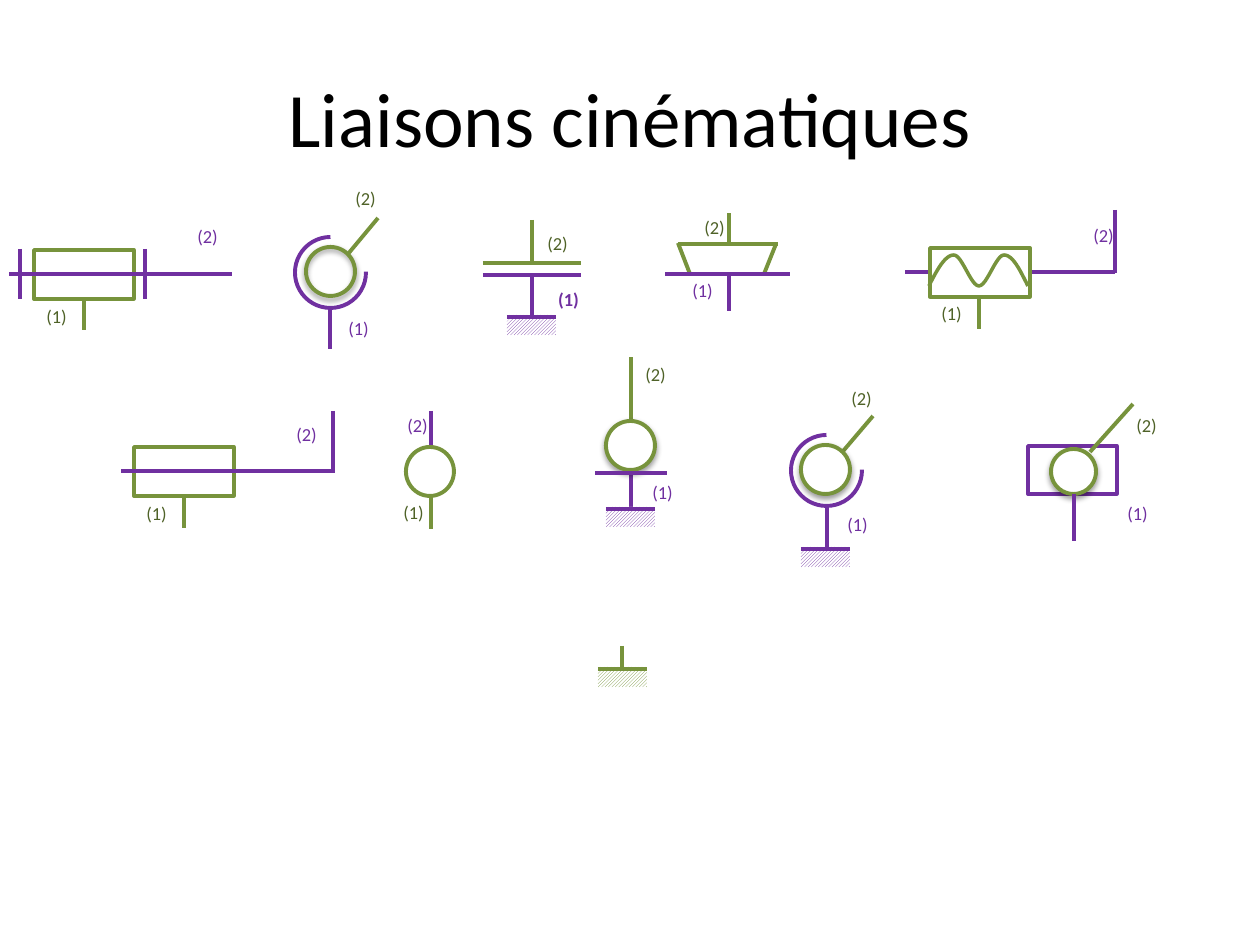
"""Build the slide of kinematic joint symbols."""
import pptx
import pptx.util
import pptx.dml.color
import pptx.enum.dml
import pptx.enum.shapes
import pptx.enum.text
import pptx.oxml
import pptx.oxml.ns

RGBColor = pptx.dml.color.RGBColor
BLACK = RGBColor(0x00, 0x00, 0x00)
WHITE = RGBColor(0xFF, 0xFF, 0xFF)
GREEN = RGBColor(0x77, 0x93, 0x3C)
MOSS = RGBColor(0x4F, 0x62, 0x28)
PLUM = RGBColor(0x70, 0x30, 0xA0)
PX = 914400 / 126
RECT = pptx.enum.shapes.MSO_SHAPE.RECTANGLE
OVAL = pptx.enum.shapes.MSO_SHAPE.OVAL
ARC = pptx.enum.shapes.MSO_SHAPE.ARC
NS = pptx.oxml.ns.nsdecls("a")
SHADE = (
    f'<a:outerShdw {NS} blurRad="40000" dist="20000" dir="5400000" rotWithShape="0">'
    '<a:srgbClr val="000000"><a:alpha val="38000"/></a:srgbClr></a:outerShdw>'
)

deck = pptx.Presentation()
deck.slide_width = pptx.util.Inches(10)
deck.slide_height = pptx.util.Inches(7.5)
slide = deck.slides.add_slide(deck.slide_layouts[6])


def draw(color, *ends):
    line = slide.shapes.add_connector(
        pptx.enum.shapes.MSO_CONNECTOR.STRAIGHT, *[round(n * PX) for n in ends])
    line.line.color.rgb = color
    line.line.width = pptx.util.Pt(2.25)
    line._element.spPr.append(pptx.oxml.parse_xml(f"<a:effectLst {NS}/>"))


def write(text, color, size, bold, *area):
    box = slide.shapes.add_textbox(*[round(n * PX) for n in area])
    frame = box.text_frame
    frame.word_wrap = True
    para = frame.paragraphs[0]
    para.alignment = pptx.enum.text.PP_ALIGN.CENTER
    run = para.add_run()
    run.text = text
    run.font.name = "Calibri"
    run.font.size = pptx.util.Pt(size)
    run.font.bold = bold
    run.font.color.rgb = color
    return frame


title = write("Liaisons cinématiques", BLACK, 44, False, 63, 38, 1134, 157)
title.vertical_anchor = pptx.enum.text.MSO_ANCHOR.MIDDLE

back = [
    (PLUM, 1115, 272, 905, 272),
    (GREEN, 431, 529, 431, 474),
    (PLUM, 431, 411, 431, 473),
    (PLUM, 631, 510, 631, 471),
    (GREEN, 631, 423, 631, 357),
    (GREEN, 827, 470, 873, 416),
]
for item in back:
    draw(*item)

forms = [
    (RECT, GREEN, 2, False, False, 34, 250, 100, 49),
    (OVAL, GREEN, 2.25, False, True, 306, 247, 49, 49),
    (ARC, PLUM, 2.25, False, False, 295, 237, 71, 71),
    (RECT, GREEN, 2, True, False, 930, 248, 100, 49),
    (OVAL, GREEN, 2.25, True, False, 406, 447, 48, 49),
    (RECT, GREEN, 2, True, False, 134, 447, 100, 49),
    (OVAL, GREEN, 2.25, True, True, 606, 421, 49, 49),
    (RECT, PLUM, 2, True, False, 1028, 446, 89, 48),
    (OVAL, GREEN, 2.25, True, True, 1051, 449, 45, 45),
    (OVAL, GREEN, 2.25, True, True, 801, 445, 49, 49),
    (ARC, PLUM, 2.25, False, False, 791, 435, 71, 71),
]
for kind, color, width, solid, shade, *area in forms:
    form = slide.shapes.add_shape(kind, *[round(n * PX) for n in area])
    form.shadow.inherit = False
    form.line.color.rgb = color
    form.line.width = pptx.util.Pt(width)
    if solid:
        form.fill.solid()
        form.fill.fore_color.rgb = WHITE
    else:
        form.fill.background()
    if kind == ARC:
        form.adjustments[0] = 215.14
        form.adjustments[1] = 161.98
    if shade:
        form._element.spPr.find(pptx.oxml.ns.qn("a:effectLst")).append(
            pptx.oxml.parse_xml(SHADE))

curves = [
    ((929, 286), (937, 270), (945, 255), (954, 255)),
    ((954, 255), (962, 255), (971, 286), (979, 286)),
    ((979, 286), (987, 286), (996, 255), (1004, 255)),
    ((1004, 255), (1013, 255), (1020, 270), (1028, 286)),
]
points = []
for curve in curves:
    for step in range(1, 13):
        t = step / 12
        parts = ((1 - t) ** 3, 3 * t * (1 - t) ** 2, 3 * t * t * (1 - t), t ** 3)
        points.append([sum(k * p[i] for k, p in zip(parts, curve)) * PX for i in (0, 1)])
pen = slide.shapes.build_freeform(round(929 * PX), round(286 * PX))
pen.add_line_segments(points, close=False)
wave = pen.convert_to_shape()
wave.shadow.inherit = False
wave.fill.background()
wave.line.color.rgb = GREEN
wave.line.width = pptx.util.Pt(2)

for color, x, y in [(PLUM, 507, 315), (PLUM, 606, 507), (PLUM, 801, 547), (GREEN, 598, 667)]:
    ground = slide.shapes.add_shape(RECT, *[round(n * PX) for n in (x, y, 49, 20)])
    ground.shadow.inherit = False
    ground.line.fill.background()
    ground.fill.patterned()
    ground.fill.pattern = pptx.enum.dml.MSO_PATTERN.LIGHT_UPWARD_DIAGONAL
    ground.fill.fore_color.rgb = color
    ground.fill.back_color.rgb = WHITE
    draw(color, x, y + 2, x + 49, y + 2)

front = [
    (GREEN, 84, 330, 84, 300),
    (PLUM, 232, 274, 9, 274),
    (PLUM, 145, 249, 145, 299),
    (PLUM, 20, 249, 20, 299),
    (GREEN, 348, 254, 378, 218),
    (PLUM, 330, 349, 330, 309),
    (PLUM, 483, 275, 581, 275),
    (PLUM, 532, 276, 532, 316),
    (GREEN, 483, 263, 581, 263),
    (GREEN, 532, 220, 532, 261),
    (PLUM, 729, 311, 729, 272),
    (GREEN, 690, 274, 678, 243),
    (GREEN, 764, 274, 776, 244),
    (PLUM, 790, 274, 665, 274),
    (GREEN, 778, 244, 678, 244),
    (GREEN, 729, 243, 729, 213),
    (GREEN, 979, 329, 979, 297),
    (PLUM, 1115, 210, 1115, 273),
    (GREEN, 184, 528, 184, 498),
    (PLUM, 333, 411, 333, 473),
    (PLUM, 333, 471, 121, 471),
    (PLUM, 667, 473, 595, 473),
    (GREEN, 1090, 452, 1133, 404),
    (PLUM, 1074, 541, 1074, 494),
    (PLUM, 827, 547, 827, 507),
    (GREEN, 622, 646, 622, 669),
]
for item in front:
    draw(*item)

labels = [
    ("(1)", MOSS, 32, 299), ("(2)", PLUM, 183, 219),
    ("(1)", PLUM, 334, 311), ("(2)", MOSS, 341, 181),
    ("(1)", PLUM, 544, 282), ("(2)", MOSS, 533, 226),
    ("(1)", PLUM, 678, 273), ("(2)", MOSS, 690, 210),
    ("(1)", MOSS, 927, 296), ("(2)", PLUM, 1079, 218),
    ("(1)", MOSS, 132, 496), ("(2)", PLUM, 282, 417),
    ("(1)", MOSS, 389, 495), ("(2)", PLUM, 393, 408),
    ("(1)", PLUM, 638, 475), ("(2)", MOSS, 631, 357),
    ("(1)", PLUM, 833, 507), ("(2)", MOSS, 837, 381),
    ("(1)", PLUM, 1113, 496), ("(2)", MOSS, 1122, 408),
]
for text, color, x, y in labels:
    frame = write(text, color, 10.5, x == 544, x, y, 49, 37)
    frame.auto_size = pptx.enum.text.MSO_AUTO_SIZE.SHAPE_TO_FIT_TEXT

deck.save("out.pptx")
